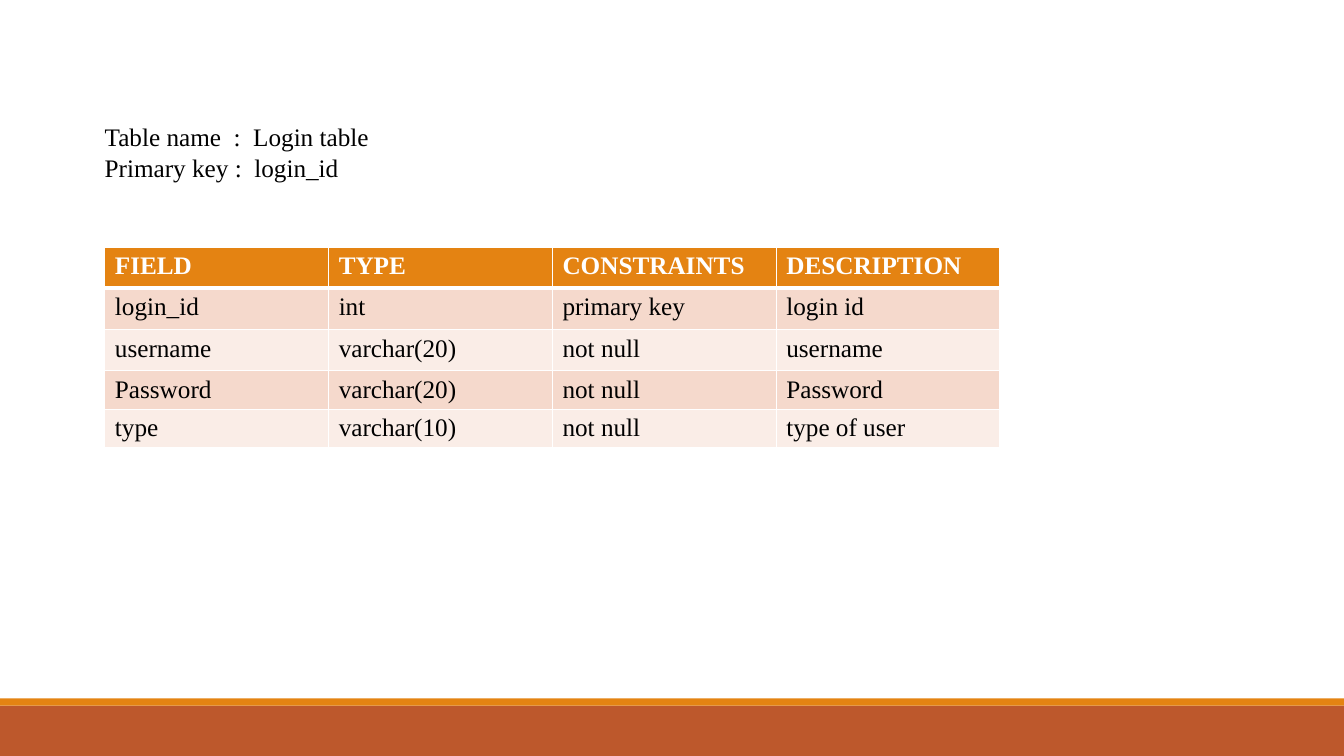
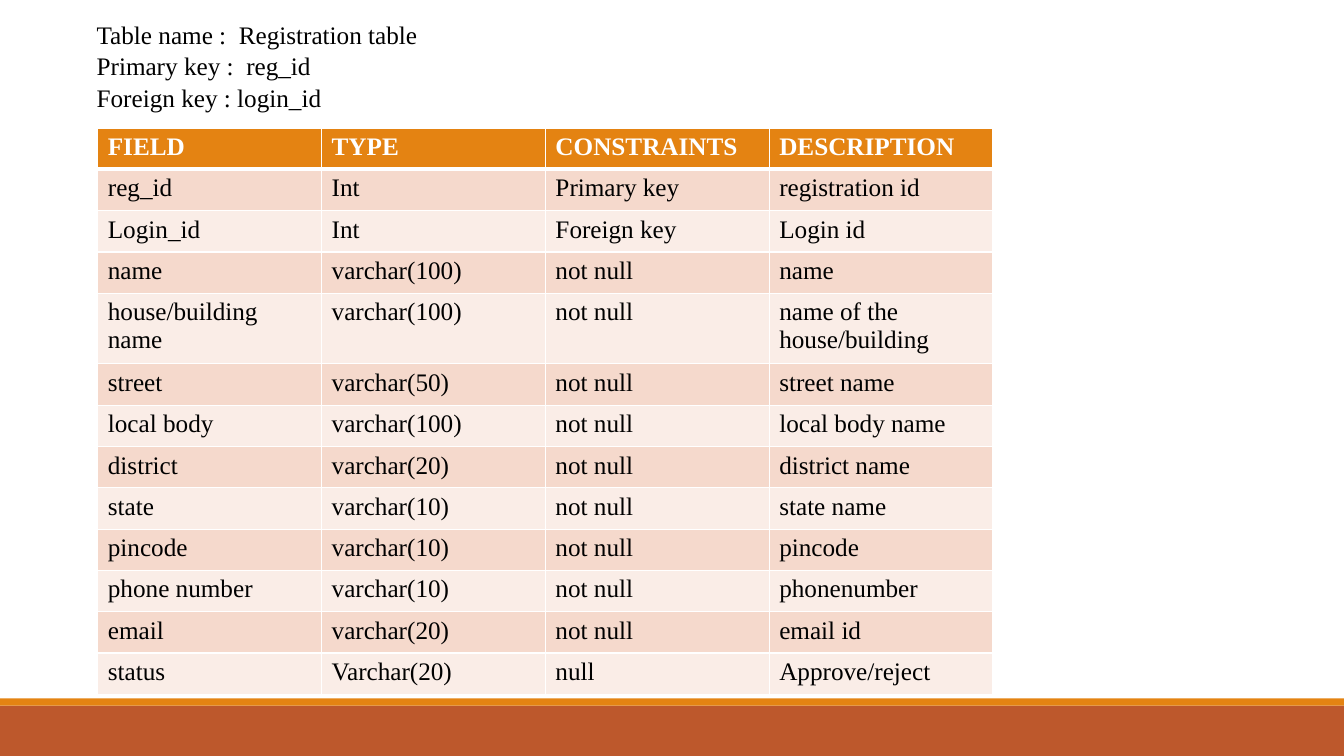
"""Build two slides that describe database tables."""
from dataclasses import dataclass

from lxml import etree
from pptx import Presentation
from pptx.dml.color import RGBColor
from pptx.enum.shapes import MSO_SHAPE
from pptx.enum.text import MSO_AUTO_SIZE
from pptx.oxml.ns import qn
from pptx.util import Inches, Pt

RECT = MSO_SHAPE.RECTANGLE
GROW = MSO_AUTO_SIZE.SHAPE_TO_FIT_TEXT


@dataclass(frozen=True)
class Theme:
    font: str = "Times New Roman"
    size: int = 18
    lead: float = 1.04
    ink: str = "000000"
    white: str = "FFFFFF"
    rust: str = "BD582C"
    amber: str = "E48312"
    rows: tuple = ("FAEDE7", "F5D9CC")
    thin: int = 1
    thick: int = 3


class Deck:
    def __init__(self, theme):
        self.theme = theme
        self.show = Presentation()
        self.show.slide_width = Inches(13.33)
        self.show.slide_height = Inches(7.5)
        self.slide = None

    def page(self):
        self.slide = self.show.slides.add_slide(self.show.slide_layouts[6])
        self.band(7, 0.5, self.theme.rust)
        self.band(6.93, 0.07, self.theme.amber)

    def band(self, top, height, color):
        bar = self.slide.shapes.add_shape(
            RECT, 0, Inches(top), self.show.slide_width, Inches(height))
        bar.shadow.inherit = False
        bar.fill.solid()
        bar.fill.fore_color.rgb = RGBColor.from_string(color)
        bar.line.fill.background()

    def run(self, para, text, color, bold=False):
        run = para.add_run()
        run.text = text
        run.font.name = self.theme.font
        run.font.size = Pt(self.theme.size)
        run.font.bold = bold
        run.font.color.rgb = RGBColor.from_string(color)

    def note(self, left, top, width, height, lines):
        box = self.slide.shapes.add_textbox(
            Inches(left), Inches(top), Inches(width), Inches(height))
        frame = box.text_frame
        frame.word_wrap = True
        frame.auto_size = GROW
        for i, line in enumerate(lines):
            para = frame.add_paragraph() if i else frame.paragraphs[0]
            para.line_spacing = self.theme.lead
            self.run(para, line, self.theme.ink)

    def edge(self, cell, side, width):
        line = etree.SubElement(
            cell._tc.get_or_add_tcPr(), qn(f"a:ln{side}"), w=str(Pt(width)))
        fill = etree.SubElement(line, qn("a:solidFill"))
        etree.SubElement(fill, qn("a:srgbClr"), val=self.theme.white)

    def cell(self, cell, text, row):
        look = self.theme
        head = row == 0
        widths = {"L": look.thin, "R": look.thin,
                  "T": look.thick if row == 1 else look.thin,
                  "B": look.thick if head else look.thin}
        for side, width in widths.items():
            self.edge(cell, side, width)
        cell.fill.solid()
        fill = look.amber if head else look.rows[row % 2]
        cell.fill.fore_color.rgb = RGBColor.from_string(fill)
        self.run(cell.text_frame.paragraphs[0], text,
                 look.white if head else look.ink, head)

    def table(self, left, top, tall, rows):
        rows = [HEAD, *rows]
        sizes = [tall.get(i, 0.41) for i in range(len(rows))]
        grid = self.slide.shapes.add_table(
            len(rows), len(HEAD), Inches(left), Inches(top),
            Inches(2.22 * len(HEAD)), Inches(sum(sizes))).table
        for col in grid.columns:
            col.width = Inches(2.22)
        for i, row in enumerate(rows):
            grid.rows[i].height = Inches(sizes[i])
            for j, text in enumerate(row):
                self.cell(grid.cell(i, j), text, i)


HEAD = ("FIELD", "TYPE", "CONSTRAINTS", "DESCRIPTION")
LOGIN = (
    ("login_id", "int", "primary key", "login id"),
    ("username", "varchar(20)", "not null", "username"),
    ("Password", "varchar(20)", "not null", "Password"),
    ("type", "varchar(10)", "not null", "type of user"),
)
PEOPLE = (
    ("reg_id", "Int", "Primary key", "registration id"),
    ("Login_id", "Int", "Foreign key", "Login id"),
    ("name", "varchar(100)", "not null", "name"),
    ("house/building name", "varchar(100)", "not null",
     "name of the house/building"),
    ("street", "varchar(50)", "not null", "street name"),
    ("local body", "varchar(100)", "not null", "local body name"),
    ("district", "varchar(20)", "not null", "district name"),
    ("state", "varchar(10)", "not null", "state name"),
    ("pincode", "varchar(10)", "not null", "pincode"),
    ("phone number", "varchar(10)", "not null", "phonenumber"),
    ("email", "varchar(20)", "not null", "email id"),
    ("status", "Varchar(20)", "null", "Approve/reject"),
)


def main():
    deck = Deck(Theme())

    deck.page()
    deck.table(1.04, 2.45, {3: 0.38, 4: 0.38}, LOGIN)
    deck.note(0.94, 1.14, 3.25, 0.71,
              ("Table name  :  Login table", "Primary key :  login_id"))

    deck.page()
    deck.note(0.86, 0.13, 3.41, 1.01,
              ("Table name :  Registration table", "Primary key :  reg_id",
               "Foreign key : login_id"))
    deck.table(0.97, 1.27, {4: 0.69}, PEOPLE)

    deck.show.save("out.pptx")


if __name__ == "__main__":
    main()
